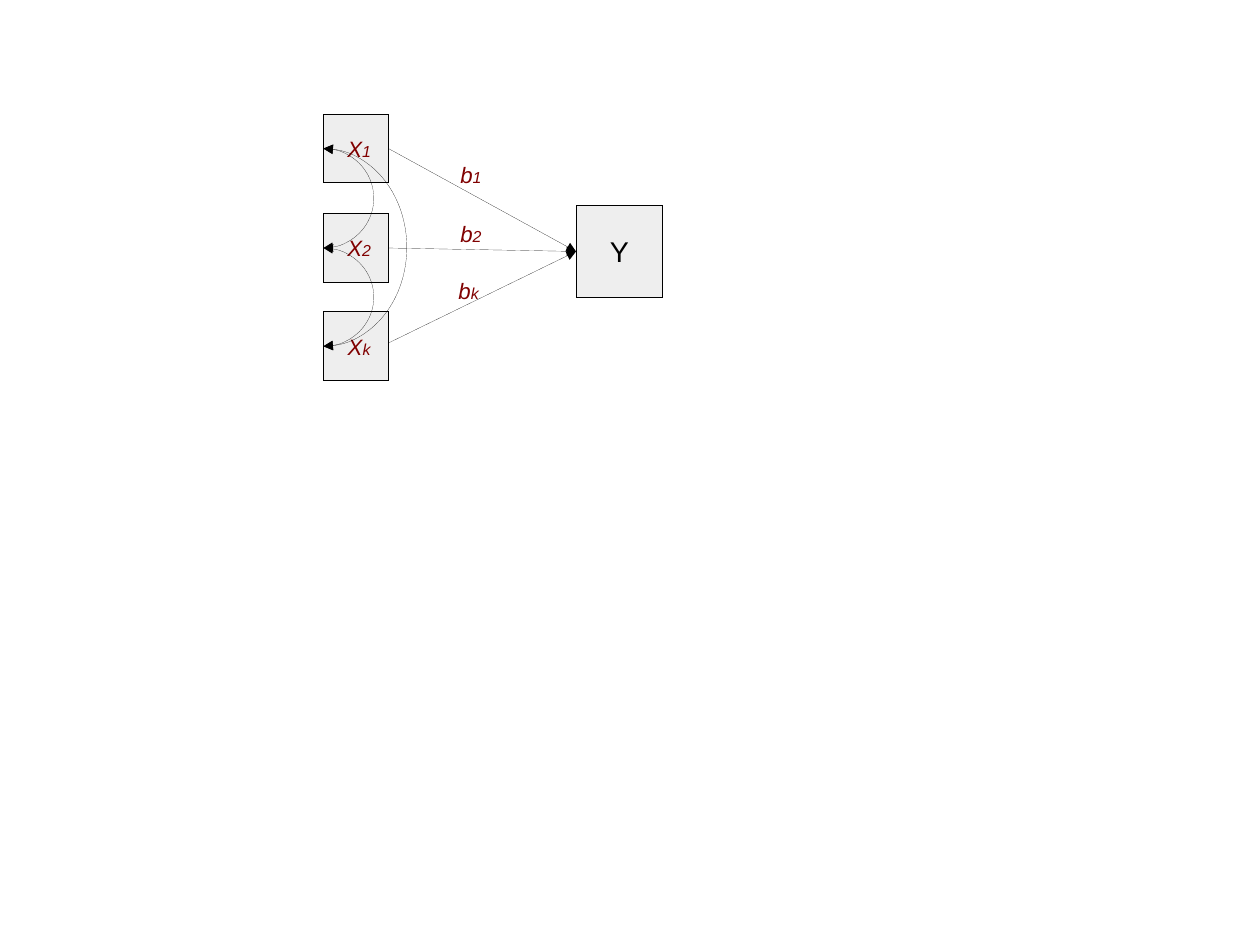
from pptx import Presentation
from pptx.util import Inches, Pt
from pptx.dml.color import RGBColor
from pptx.enum.shapes import MSO_CONNECTOR, MSO_SHAPE
from pptx.enum.text import MSO_ANCHOR, PP_ALIGN
from pptx.oxml.ns import qn
from lxml import etree

BLACK = RGBColor(0x00, 0x00, 0x00)
MAROON = RGBColor(0x80, 0x00, 0x00)
GREY = RGBColor(0xEE, 0xEE, 0xEE)


def write(s, parts, color, italic):
    """Centred text in one paragraph, given as (text, size) runs."""
    p = s.text_frame.paragraphs[0]
    p.alignment = PP_ALIGN.CENTER
    p.font.name = "Arial"
    p.font.italic = italic
    p.font.color.rgb = color
    for text, size in parts:
        r = p.add_run()
        r.text = text
        r.font.size = Pt(size)


def style_line(s, *ends):
    """Black hairline with triangles at the given ends."""
    s.line.color.rgb = BLACK
    ln = s._element.spPr.find(qn("a:ln"))
    ln.set("w", "0")  # line.width = 0 would fall back to the theme width
    for end in ends:
        etree.SubElement(ln, qn(f"a:{end}"), type="triangle")


# Slide of 28 by 21 cm
prs = Presentation()
prs.slide_width = Inches(28 / 2.54)
prs.slide_height = Inches(21 / 2.54)
slide = prs.slides.add_slide(prs.slide_layouts[6])
shapes = slide.shapes

# Variable boxes: three predictors and the outcome
BOX_LEFT, BOX_W, BOX_H = 2.83, 0.57, 0.6
boxes = []
for left, top, w, h, parts, color in [
    (BOX_LEFT, 1, BOX_W, BOX_H, [(" X", 14), ("1", 10)], MAROON),
    (BOX_LEFT, 1.87, BOX_W, BOX_H, [(" X", 14), ("2", 10)], MAROON),
    (BOX_LEFT, 2.73, BOX_W, BOX_H, [(" X", 14), ("k", 10)], MAROON),
    (5.04, 1.8, 0.76, 0.8, [("Y", 18)], BLACK),
]:
    s = shapes.add_shape(MSO_SHAPE.RECTANGLE, Inches(left), Inches(top), Inches(w), Inches(h))
    s.shadow.inherit = False
    s.fill.solid()
    s.fill.fore_color.rgb = GREY
    style_line(s)
    s.text_frame.word_wrap = False
    s.text_frame.vertical_anchor = MSO_ANCHOR.MIDDLE
    write(s, parts, color, color == MAROON)
    boxes.append(s)
x1, x2, xk, y = boxes

# Paths from the predictors to Y
for box, start_y in [(x1, 1.3), (x2, 2.17), (xk, 3)]:
    c = shapes.add_connector(MSO_CONNECTOR.STRAIGHT, Inches(BOX_LEFT + BOX_W), Inches(start_y),
                             Inches(5.04), Inches(2.2))
    if box is not xk:
        c.begin_connect(box, 3)
    c.end_connect(y, 1)
    style_line(c, "tailEnd")
    etree.SubElement(c._element.spPr, qn("a:effectLst"))

# Path coefficients
for sub, left, top in [("1", 3.92, 1.36), ("2", 3.92, 1.88), ("k", 3.9, 2.38)]:
    s = shapes.add_textbox(Inches(left), Inches(top), Inches(0.4), Inches(0.32))
    s.text_frame.word_wrap = True
    write(s, [("b", 14), (sub, 10)], MAROON, True)

# Correlations: right half-ellipses between the left sides of the predictors
for upper, lower, bulge in [(x1, x2, 0.44), (x2, xk, 0.44), (x1, xk, 0.73)]:
    s = shapes.add_shape(MSO_SHAPE.ARC, Inches(BOX_LEFT - bulge), upper.top + upper.height // 2,
                         Inches(2 * bulge), lower.top - upper.top)
    s.adjustments[0], s.adjustments[1] = 162, 54
    s.shadow.inherit = False
    s.fill.background()
    style_line(s, "headEnd", "tailEnd")

prs.save("out.pptx")
